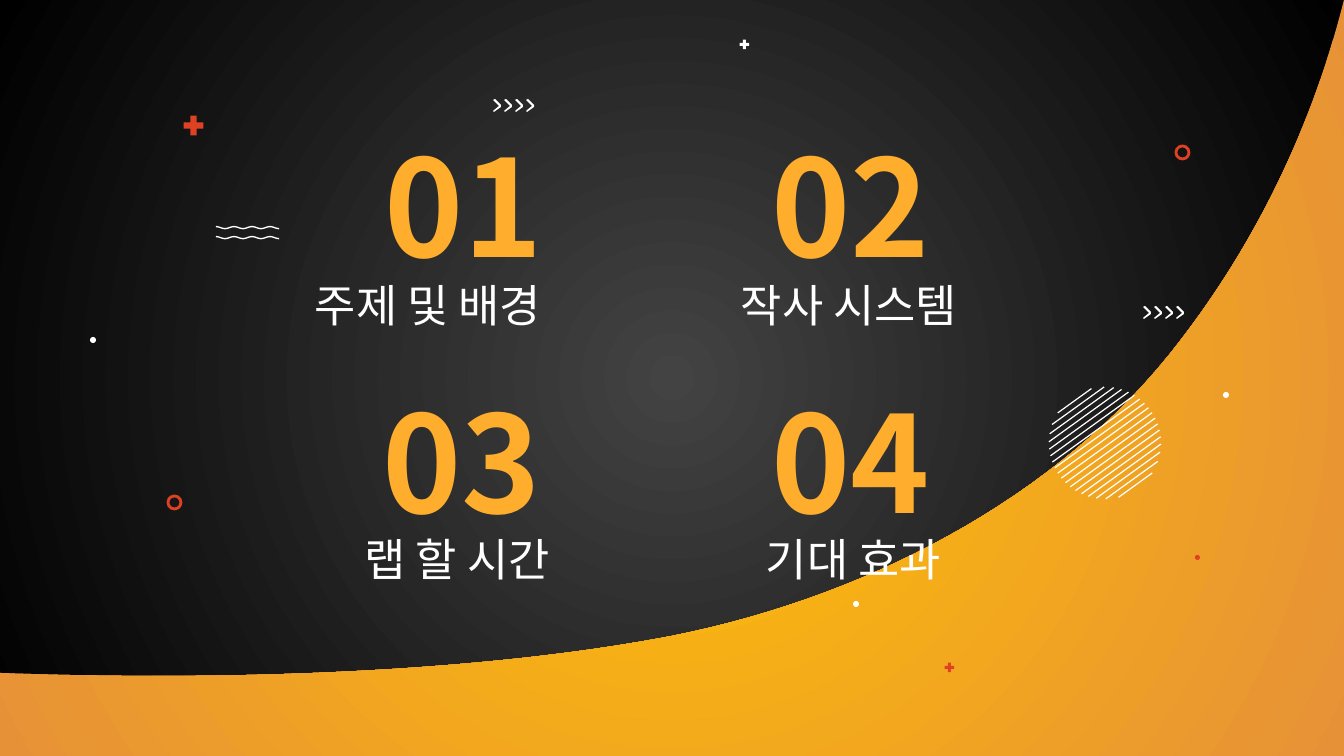
from math import atan2, cos, pi, sin, sqrt

from lxml import etree
from pptx import Presentation
from pptx.dml.color import RGBColor
from pptx.enum.shapes import MSO_SHAPE
from pptx.enum.text import MSO_ANCHOR, PP_ALIGN
from pptx.oxml.ns import qn
from pptx.util import Pt

PLUS, OVAL = MSO_SHAPE.MATH_PLUS, MSO_SHAPE.OVAL
LEFT, CENTER, RIGHT = PP_ALIGN.LEFT, PP_ALIGN.CENTER, PP_ALIGN.RIGHT
MIDDLE = MSO_ANCHOR.MIDDLE

PX = 914400 / 134.4
WIDTH, HEIGHT = 1344, 756
FONT = "Noto Sans CJK KR"
HEX = {
    "white": "FFFFFF", "red": "DE4223", "number": "FFAD2C",
    "glow": "434343", "night": "000000",
    "amber": "FFC002", "orange": "E69138",
}
COLORS = {name: RGBColor.from_string(code) for name, code in HEX.items()}


def outline(shapes, points):
    """Add a closed, white, borderless polygon through points given in px."""
    corners = [(x * PX, y * PX) for x, y in points]
    builder = shapes.build_freeform(*corners[0])
    builder.add_line_segments(corners[1:])
    polygon = builder.convert_to_shape()
    polygon.shadow.inherit = False
    polygon.fill.solid()
    polygon.fill.fore_color.rgb = COLORS["white"]
    polygon.line.fill.background()
    return polygon


def radial(fill, owner, center, edge):
    """Give fill a circular gradient; owner is the XML element that holds it."""
    fill.gradient()
    for stop, color in zip(fill.gradient_stops, (center, edge)):
        stop.color.rgb = COLORS[color]
    gradient = next(owner.iter(qn("a:gradFill")))
    gradient.remove(gradient.find(qn("a:lin")))
    circle = etree.SubElement(gradient, qn("a:path"), path="circle")
    etree.SubElement(circle, qn("a:fillToRect"), l="50000", t="50000", r="50000", b="50000")


prs = Presentation()
prs.slide_width, prs.slide_height = round(WIDTH * PX), round(HEIGHT * PX)
slide = prs.slides.add_slide(prs.slide_layouts[6])
shapes = slide.shapes
radial(slide.background.fill, slide.element, "glow", "night")

# Orange hill: its upper edge is a chain of cubic curves
hill_points = [(WIDTH, 0), (WIDTH, HEIGHT), (0, HEIGHT), (0, 673)]
hill_curves = [
    ((51, 675), (103, 676), (157, 676)),
    ((336, 676), (521, 665), (672, 636)),
    ((867, 597), (1052, 500), (1169, 355)),
    ((1254, 249), (1312, 128), (1344, 0)),
]
STEPS = 30
for curve in hill_curves:
    controls = (hill_points[-1], *curve)
    for step in range(1, STEPS + 1):
        t = step / STEPS
        weights = ((1 - t) ** 3, 3 * t * (1 - t) ** 2, 3 * t * t * (1 - t), t ** 3)
        hill_points.append(tuple(
            sum(w * point[axis] for w, point in zip(weights, controls)) for axis in (0, 1)))
hill = outline(shapes, hill_points)
radial(hill.fill, hill.element, "amber", "orange")

# Two wavy lines
WAVE_LENGTH = 18
waves = shapes.add_group_shape()
for wave_y in (227, 237):
    crest = [(216 + x, wave_y - cos(2 * pi * x / WAVE_LENGTH)) for x in range(64)]
    trough = [(x, y + 1.4) for x, y in reversed(crest)]
    outline(waves.shapes, crest + trough)

# Pluses, dots and rings: kind, left, top, size, colour, filled
accents = [
    (PLUS, 180, 112, 27, "red", True),
    (PLUS, 738, 38, 13, "white", True),
    (PLUS, 943, 661, 13, "red", True),
    (OVAL, 90, 337, 6, "white", True),
    (OVAL, 1223, 392, 6, "white", True),
    (OVAL, 853, 601, 6, "white", True),
    (OVAL, 1195, 555, 5, "red", True),
    (OVAL, 1176, 146, 13, "red", False),
    (OVAL, 168, 496, 13, "red", False),
]
for kind, left, top, size, color, filled in accents:
    accent = shapes.add_shape(kind, *(round(v * PX) for v in (left, top, size, size)))
    accent.shadow.inherit = False
    if kind == PLUS:
        accent.adjustments[0] = 0.235
    if filled:
        accent.fill.solid()
        accent.fill.fore_color.rgb = COLORS[color]
        accent.line.fill.background()
    else:
        accent.fill.background()
        accent.line.color.rgb = COLORS[color]
        accent.line.width = Pt(1.5)

# Two rows of four chevrons
CHEVRON = [(2, 0), (0, 1), (6, 7), (0, 12), (1, 13), (8, 8), (8, 6)]
for row_x, row_y in ((1143, 306), (493, 99)):
    chevrons = shapes.add_group_shape()
    for i in range(4):
        outline(chevrons.shapes, [(row_x + 11 * i + x, row_y + y) for x, y in CHEVRON])

# Disc of slanted stripes: each stripe is a chord at an even offset
DISC_X, DISC_Y, RADIUS = 1105, 443, 56
STRIPES, REACH, HALF_THICK = 18, 52, 0.6
tilt = atan2(49, 68)
disc = shapes.add_group_shape()
for i in range(STRIPES):
    offset = -REACH + 2 * REACH * i / (STRIPES - 1)
    half = sqrt(RADIUS ** 2 - offset ** 2)
    chord = [(-half, offset - HALF_THICK), (half, offset - HALF_THICK),
             (half, offset + HALF_THICK), (-half, offset + HALF_THICK)]
    outline(disc.shapes, [
        (DISC_X + u * cos(tilt) + v * sin(tilt), DISC_Y - u * sin(tilt) + v * cos(tilt))
        for u, v in chord])

# Contents: text, left, top, width, height, alignment, size, colour
contents = [
    ("주제 및 배경", -19, 274, 560, 62, RIGHT, 24, "white"),
    ("작사 시스템", 741, 274, 560, 62, LEFT, 24, "white"),
    ("01", 253, 153, 290, 102, RIGHT, 72, "number"),
    ("02", 771, 153, 290, 102, LEFT, 72, "number"),
    ("04", 771, 409, 290, 102, LEFT, 72, "number"),
    ("03", 251, 409, 290, 102, RIGHT, 72, "number"),
    ("랩 할 시간", 336, 528, 242, 62, CENTER, 24, "white"),
    ("기대 효과", 766, 528, 560, 62, LEFT, 24, "white"),
]
for text, left, top, width, height, align, size, color in contents:
    box = shapes.add_textbox(*(round(v * PX) for v in (left, top, width, height)))
    frame = box.text_frame
    frame.word_wrap = True
    frame.vertical_anchor = MIDDLE
    frame.margin_left = frame.margin_right = frame.margin_top = frame.margin_bottom = 0
    frame.text = text
    paragraph = frame.paragraphs[0]
    paragraph.alignment = align
    font = paragraph.font
    font.name, font.size, font.bold = FONT, Pt(size), color == "number"
    font.color.rgb = COLORS[color]
    latin = next(box.element.iter(qn("a:latin")))
    east_asian = etree.Element(qn("a:ea"), typeface=FONT)
    latin.addnext(east_asian)

prs.save("out.pptx")
